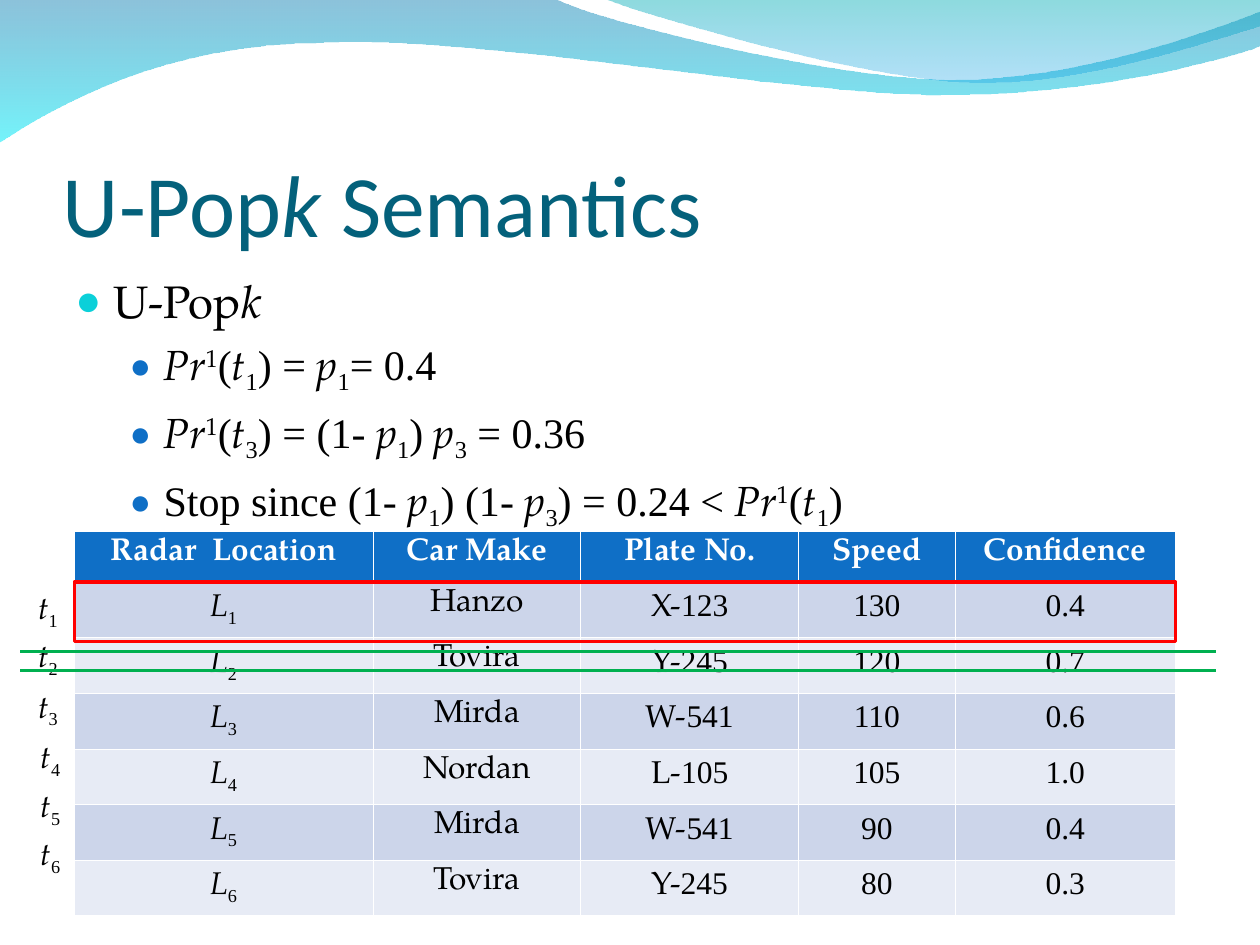
import pptx
import pptx.util
import pptx.dml.color
import pptx.enum.shapes
import pptx.enum.text
import pptx.oxml.ns
import lxml.etree

qn = pptx.oxml.ns.qn
Inches = pptx.util.Inches
Pt = pptx.util.Pt
CENTER = pptx.enum.text.PP_ALIGN.CENTER

THEME = {
    "serif": "TeX Gyre Pagella", "roman": "Times New Roman", "sans": "Calibri",
    "title": "04617B", "ink": "000000", "paper": "FFFFFF",
    "header": "0F6FC6", "bands": ("CCD5EA", "E7EBF5"),
    "answer": "FF0000", "skipped": "00B050",
    "title_size": 50, "topic_size": 26, "step_size": 24, "label_size": 18,
}

TITLE = "U-Pop|/k| Semantics"
TOPIC = {"indent": 0.3, "hanging": 0.3, "bullet": "0BD0D9", "bullet_size": 95,
         "before": 6.5, "size": THEME["topic_size"]}
STEP = {"indent": 0.7, "hanging": 0.27, "bullet": "0F6FC6", "bullet_size": 85,
        "before": 6, "size": THEME["step_size"], "level": 1}
OUTLINE = [
    ("~U-Pop|/k", TOPIC),
    ("/Pr|^1|(|/t|_1|) =|/ p|_1|= 0.4", STEP),
    ("/Pr|^1|(|/t|_3|) = (1-|/ p|_1|)|/ p|_3| = 0.36", STEP),
    ("Stop since (1-|/ p|_1|) (1-|/ p|_3|) = 0.24 < |/Pr|^1|(|/t|_1|)", STEP),
]
HEADINGS = ["~Radar  Location", "~Car Make", "~Plate No.", "~Speed", "~Confidence"]
READINGS = [
    ("Hanzo", "~X-|123", "130", "0.4"),
    ("Tovira", "~Y-|245", "120", "0.7"),
    ("Mirda", "~W-|541", "110", "0.6"),
    ("Nordan", "~L-|105", "105", "1.0"),
    ("Mirda", "~W-|541", "90", "0.4"),
    ("Tovira", "~Y-|245", "80", "0.3"),
]
COLUMNS = [2.37, 1.65, 1.73, 1.24, 1.75]
HEADER_ROW, ROW = 0.4, 0.44
TABLE_LEFT, TABLE_TOP = 0.59, 4.22
TABLE_WIDTH = sum(COLUMNS)
TUPLE_SPOTS = [(0.2, 4.62), (0.2, 5), (0.2, 5.4), (0.22, 5.8), (0.22, 6.19), (0.22, 6.57)]
SKIP_LINES = [5.17, 5.32]

WAVES = [
    {"start": (0, -0.01),
     "sides": [(4.4, -0.01), (4.76, 0.17, 6.64, 0.63, 7.58, 0.63),
               (8.53, 0.63, 9.58, 0.26, 10, 0.09), (10.01, 0.36),
               (9.83, 0.44, 8.7, 0.76, 7.46, 0.75), (6.22, 0.75, 3.82, 0.28, 2.57, 0.34),
               (1.29, 0.35, 0.46, 0.83, -0.01, 1.13)],
     "stops": [("0079AF", 45), ("00EBF8", 55)]},
    {"start": (4.79, -0.01),
     "sides": [(5.09, 0.11, 6.82, 0.62, 7.69, 0.65), (8.56, 0.69, 9.61, 0.32, 10, 0.21),
               (10, 0)],
     "stops": [("00ADB6", 45), ("009BE5", 30)]},
]


def rgb(code):
    return pptx.dml.color.RGBColor.from_string(code)


def add_xml(parent, tag, **attributes):
    return lxml.etree.SubElement(parent, qn(tag), attributes)


def write(paragraph, text, size, color=THEME["ink"], font=None, bold=False, align=None,
          before=None, level=0, indent=None, hanging=0, bullet=None, bullet_size=100):
    paragraph.alignment = align
    paragraph.level = level
    if before is not None:
        paragraph.space_before = Pt(before)
    if bullet:
        properties = paragraph._p.get_or_add_pPr()
        properties.set("marL", str(Inches(indent)))
        properties.set("indent", str(-Inches(hanging)))
        add_xml(add_xml(properties, "a:buClr"), "a:srgbClr", val=bullet)
        add_xml(properties, "a:buSzPct", val=str(bullet_size * 1000))
        add_xml(properties, "a:buFont", typeface=THEME["roman"])
        add_xml(properties, "a:buChar", char="●")
    for piece in text.split("|"):
        mark = piece[0] if piece[0] in "/~^_" else ""
        run = paragraph.add_run()
        run.text = piece[len(mark):]
        run.font.size = Pt(size)
        run.font.bold = bold
        run.font.italic = mark == "/"
        run.font.color.rgb = rgb(color)
        run.font.name = font or THEME["serif" if mark and mark in "/~^" else "roman"]
        if mark and mark in "^_":
            run.font._element.set("baseline", "30000" if mark == "^" else "-25000")


def add_frame(slide, left, top, width, height, wrap=True):
    frame = slide.shapes.add_textbox(*map(Inches, (left, top, width, height))).text_frame
    frame.word_wrap = wrap
    return frame


def add_wave(slide, start, sides, stops):
    builder = slide.shapes.build_freeform(*map(Inches, start), scale=1.0)
    builder.add_line_segments([tuple(map(Inches, side[-2:])) for side in sides], close=True)
    wave = builder.convert_to_shape()
    wave.shadow.inherit = False
    wave.line.fill.background()
    wave.fill.gradient()
    wave.fill.gradient_angle = 270
    for stop, place, (color, _) in zip(wave.fill.gradient_stops, (0, 1), stops):
        stop.position = place
        stop.color.rgb = rgb(color)
    properties = wave._element.spPr
    for tint, (_, opacity) in zip(properties.findall(".//" + qn("a:srgbClr")), stops):
        add_xml(tint, "a:alpha", val=str(opacity * 1000))
    for segment, side in zip(properties.findall(".//" + qn("a:lnTo")), sides):
        if len(side) == 6:
            curve = lxml.etree.Element(qn("a:cubicBezTo"))
            for x, y in zip(side[::2], side[1::2]):
                add_xml(curve, "a:pt", x=str(Inches(x) - wave.left), y=str(Inches(y) - wave.top))
            segment.getparent().replace(segment, curve)


def fill_cell(cell, text, fill, rule_below=0.45, rule_above=0.45, **style):
    properties = cell._tc.get_or_add_tcPr()
    for edge, width in (("L", 0.45), ("R", 0.45), ("T", rule_above), ("B", rule_below)):
        border = add_xml(properties, "a:ln" + edge, w=str(Pt(width)))
        add_xml(add_xml(border, "a:solidFill"), "a:srgbClr", val=THEME["paper"])
    cell.fill.solid()
    cell.fill.fore_color.rgb = rgb(fill)
    write(cell.text_frame.paragraphs[0], text, THEME["label_size"], align=CENTER, **style)


def add_readings(slide):
    height = HEADER_ROW + ROW * len(READINGS)
    table = slide.shapes.add_table(
        len(READINGS) + 1, len(COLUMNS),
        *map(Inches, (TABLE_LEFT, TABLE_TOP, TABLE_WIDTH, height))).table
    for column, width in zip(table.columns, COLUMNS):
        column.width = Inches(width)
    for number, row in enumerate(table.rows):
        row.height = Inches(ROW if number else HEADER_ROW)
    for column, heading in enumerate(HEADINGS):
        fill_cell(table.cell(0, column), heading, THEME["header"], rule_below=1.47,
                  color=THEME["paper"], bold=True)
    for number, (make, *values) in enumerate(READINGS, 1):
        for column, text in enumerate([f"/L|_{number}", "~" + make, *values]):
            fill_cell(table.cell(number, column), text, THEME["bands"][(number - 1) % 2],
                      rule_above=1.47 if number == 1 else 0.45)


def add_marks(slide):
    answer = slide.shapes.add_shape(
        pptx.enum.shapes.MSO_SHAPE.RECTANGLE,
        *map(Inches, (TABLE_LEFT, TABLE_TOP + HEADER_ROW, TABLE_WIDTH, 0.47)))
    answer.shadow.inherit = False
    answer.fill.background()
    answer.line.color.rgb = rgb(THEME["answer"])
    answer.line.width = Pt(2)
    for y in SKIP_LINES:
        strike = slide.shapes.add_connector(
            pptx.enum.shapes.MSO_CONNECTOR.STRAIGHT, *map(Inches, (0.16, y, 9.65, y)))
        strike.line.color.rgb = rgb(THEME["skipped"])
        strike.line.width = Pt(2)
        add_xml(strike._element.spPr, "a:effectLst")


def main():
    deck = pptx.Presentation()
    deck.slide_width, deck.slide_height = Inches(10), Inches(7.5)
    slide = deck.slides.add_slide(deck.slide_layouts[6])
    for wave in WAVES:
        add_wave(slide, **wave)

    title = add_frame(slide, 0.5, 0.77, 9, 1.25)
    title.margin_left = title.margin_right = title.margin_bottom = 0
    title.vertical_anchor = pptx.enum.text.MSO_ANCHOR.BOTTOM
    write(title.paragraphs[0], TITLE, THEME["title_size"], color=THEME["title"],
          font=THEME["sans"])

    outline = add_frame(slide, 0.5, 2.12, 9.23, 4.8)
    for number, (text, style) in enumerate(OUTLINE):
        write(outline.add_paragraph() if number else outline.paragraphs[0], text, **style)

    add_readings(slide)
    for number, (left, top) in enumerate(TUPLE_SPOTS, 1):
        label = add_frame(slide, left, top, 0.36, 0.44, wrap=False)
        write(label.paragraphs[0], f"/t|_{number}", THEME["label_size"], align=CENTER)
    add_marks(slide)
    deck.save("out.pptx")


if __name__ == "__main__":
    main()
